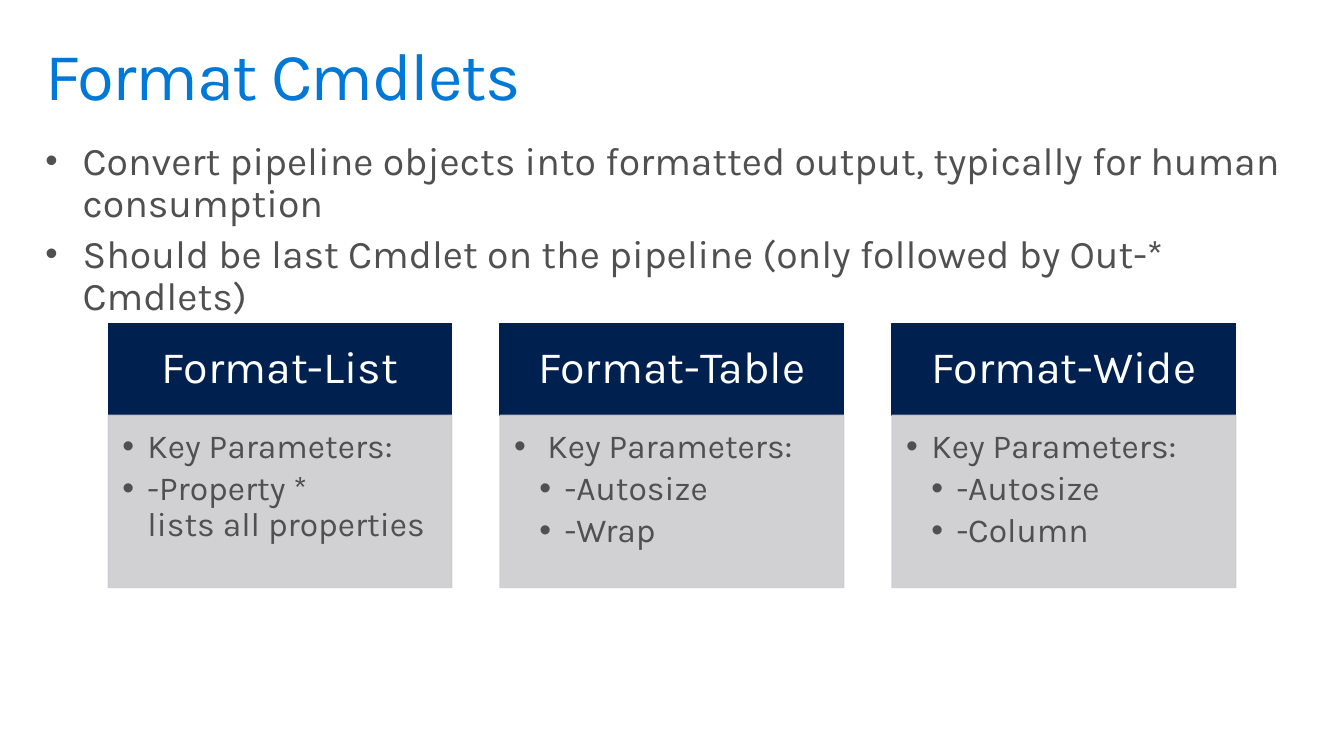
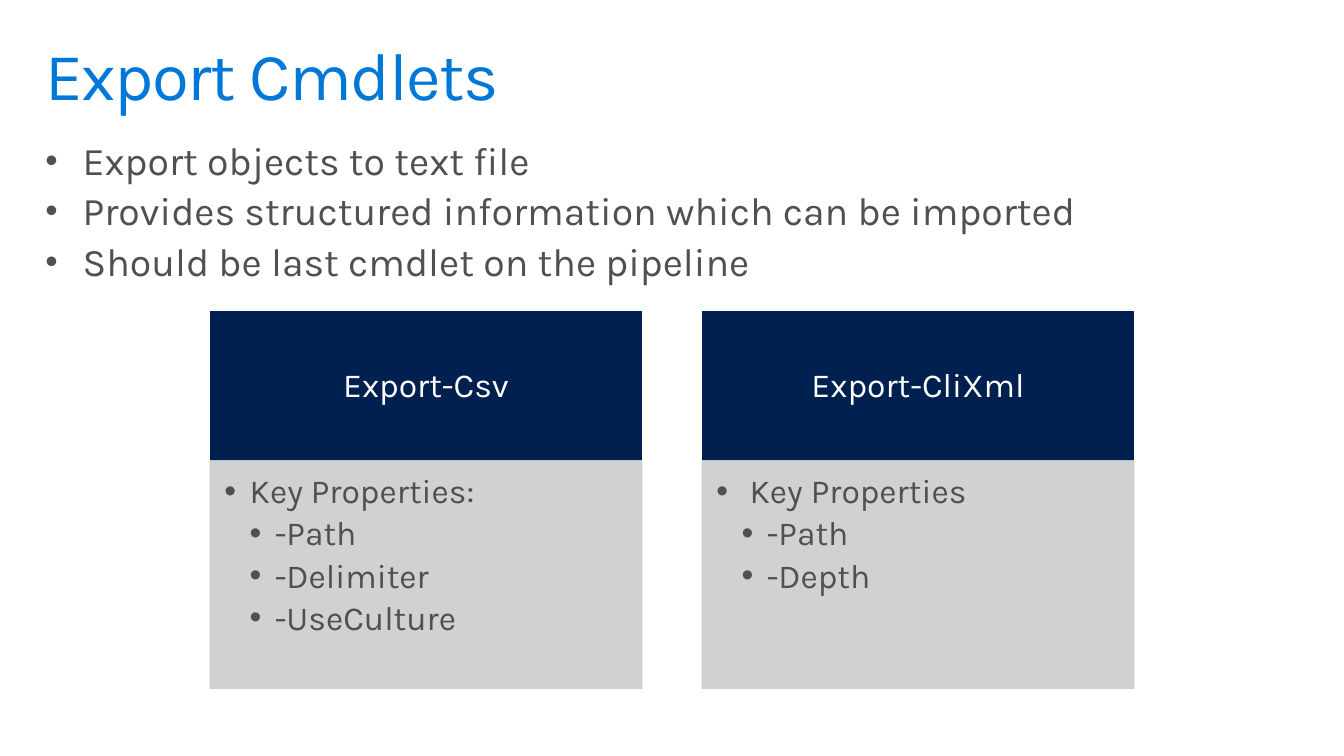
from lxml.etree import SubElement
from pptx import Presentation
from pptx.dml.color import RGBColor
from pptx.enum.shapes import MSO_SHAPE
from pptx.enum.text import MSO_ANCHOR, MSO_AUTO_SIZE, PP_ALIGN
from pptx.oxml.ns import qn
from pptx.util import Inches, Pt

# Shared style
COLORS = {"title": "0078D7", "text": "505050", "header": "002050",
          "panel": "CCCDD0", "white": "FFFFFF"}
FONT = "Karla"
WIDTH, HEIGHT = 13.33, 7.5
MARGIN = 0.29
TITLE_TOP, TITLE_HEIGHT = 0.32, 0.98
GAP_SHARE = 0.14  # gap between cards, as a share of the card width

# Cards hold a heading and (level, text) lines
SLIDES = [
    {"title": "Format Cmdlets",
     "bullets": ["Convert pipeline objects into formatted output, typically for human consumption",
                 "Should be last Cmdlet on the pipeline (only followed by Out-* Cmdlets)"],
     "body_height": 2.08, "card_width": 3.41, "rows": (3.21, 4.12, 5.83),
     "heading_size": 32, "heading_insets": (0.25, 0.14, 0.25, 0.14),
     "cards": [("Format-List", [(0, "Key Parameters:"), (0, "-Property *\vlists all properties")]),
               ("Format-Table", [(0, " Key Parameters:"), (1, "-Autosize"), (1, "-Wrap")]),
               ("Format-Wide", [(0, "Key Parameters:"), (1, "-Autosize"), (1, "-Column")])]},
    {"title": "Export Cmdlets",
     "bullets": ["Export objects to text file",
                 "Provides structured information which can be imported",
                 "Should be last cmdlet on the pipeline"],
     "body_height": 1.66, "card_width": 4.28, "rows": (3.09, 4.57, 6.83),
     "heading_size": 24, "heading_insets": (0.19, 0.11, 0.19, 0.11),
     "cards": [("Export-Csv", [(0, "Key Properties:"), (1, "-Path"), (1, "-Delimiter"),
                               (1, "-UseCulture")]),
               ("Export-CliXml", [(0, " Key Properties"), (1, "-Path"), (1, "-Depth")])]},
]


def write(shape, lines, size, color, insets=(0.16, 0.1, 0.16, 0.1), anchor=MSO_ANCHOR.TOP,
          align=PP_ALIGN.LEFT, before=0, after=0, hanging=0, bullet_percent=100, spacing=0,
          fit=MSO_AUTO_SIZE.NONE):
    """Fill a shape with (level, text) lines; a hanging indent adds bullets."""
    frame = shape.text_frame
    frame.word_wrap, frame.auto_size, frame.vertical_anchor = True, fit, anchor
    (frame.margin_left, frame.margin_top,
     frame.margin_right, frame.margin_bottom) = map(Inches, insets)
    for index, (level, text) in enumerate(lines):
        para = frame.add_paragraph() if index else frame.paragraphs[0]
        para.text, para.level, para.alignment = text, level, align
        para.line_spacing = 0.9
        para.space_before, para.space_after = Pt(before), Pt(after)
        if hanging:
            props = para._p.get_or_add_pPr()
            props.set("marL", str(Inches(hanging * (level + 1))))
            props.set("indent", str(-Inches(hanging)))
            SubElement(props, qn("a:buSzPct"), val=str(bullet_percent * 1000))
            SubElement(props, qn("a:buFont"), typeface="Arial")
            SubElement(props, qn("a:buChar"), char="•")
        for span in para.runs:
            span.font.size, span.font.name = Pt(size), FONT
            span.font.color.rgb = RGBColor.from_string(COLORS[color])
            if spacing:
                span.font._element.set("spc", str(spacing * 100))


def add_panel(page, left, top, width, height, color, opacity=100):
    """Add a rectangle whose fill and outline share one colour."""
    box = page.shapes.add_shape(MSO_SHAPE.RECTANGLE, *map(Inches, (left, top, width, height)))
    box.shadow.inherit = False
    box.line.width = Pt(0.85)
    for fill in (box.fill, box.line.fill):
        fill.solid()
        fill.fore_color.rgb = RGBColor.from_string(COLORS[color])
    if opacity < 100:
        for tint in box._element.spPr.iter(qn("a:srgbClr")):
            SubElement(tint, qn("a:alpha"), val=str(opacity * 1000))
    return box


deck = Presentation()
deck.slide_width, deck.slide_height = Inches(WIDTH), Inches(HEIGHT)
layout = deck.slide_layouts[1]

for content in SLIDES:
    page = deck.slides.add_slide(layout)

    # Title and bullet list
    title, body = page.shapes.title, page.placeholders[1]
    tops = ((title, TITLE_TOP, TITLE_HEIGHT),
            (body, TITLE_TOP + TITLE_HEIGHT, content["body_height"]))
    for holder, top, height in tops:
        holder.left, holder.top = Inches(MARGIN), Inches(top)
        holder.width, holder.height = Inches(WIDTH - 2 * MARGIN), Inches(height)
    write(title, [(0, content["title"])], 48, "title", spacing=-1)
    write(body, [(0, text) for text in content["bullets"]], 28, "text", before=6,
          hanging=0.37, bullet_percent=90, fit=MSO_AUTO_SIZE.SHAPE_TO_FIT_TEXT)

    # Centred row of cards: heading above a list
    width, count = content["card_width"], len(content["cards"])
    pitch = width * (1 + GAP_SHARE)
    first_left = (WIDTH - width - pitch * (count - 1)) / 2
    top, middle, bottom = content["rows"]
    for column, (heading, lines) in enumerate(content["cards"]):
        left = first_left + column * pitch
        header = add_panel(page, left, top, width, middle - top, "header")
        write(header, [(0, heading)], content["heading_size"], "white",
              insets=content["heading_insets"], anchor=MSO_ANCHOR.MIDDLE, align=PP_ALIGN.CENTER)
        panel = add_panel(page, left, middle, width, bottom - middle, "panel", opacity=90)
        write(panel, lines, 24, "text", insets=(0.14, 0.14, 0.19, 0.21), after=4.2, hanging=0.25)

deck.save("out.pptx")
